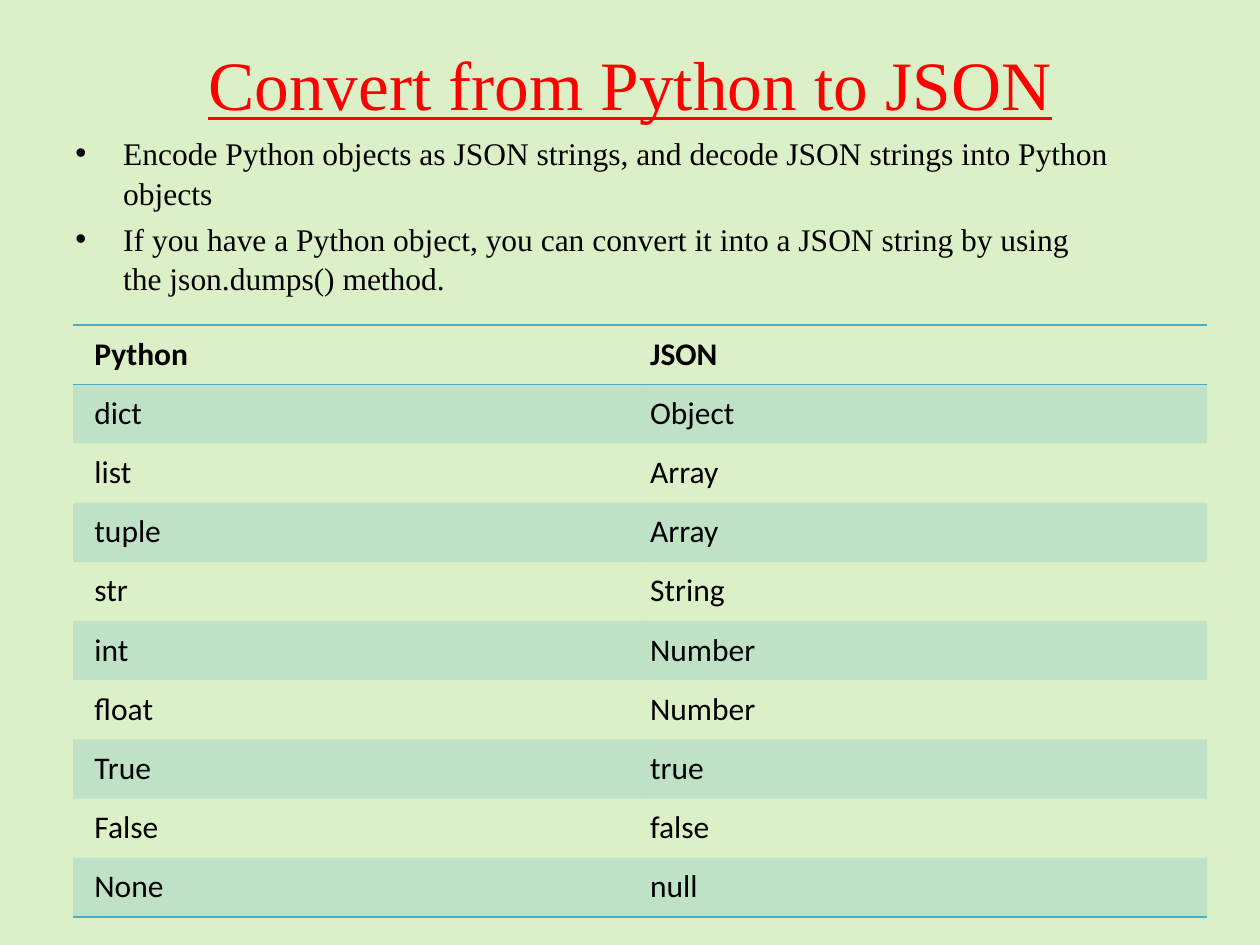
"""Build a slide on converting Python objects to JSON, with a type mapping table."""
from lxml.etree import SubElement
from pptx import Presentation
from pptx.dml.color import RGBColor
from pptx.enum.text import MSO_ANCHOR, PP_ALIGN
from pptx.oxml import parse_xml
from pptx.oxml.ns import nsdecls, qn
from pptx.util import Inches, Pt

TITLE = "Convert from Python to JSON"
BULLETS = [
    "Encode Python objects as JSON strings, and decode JSON strings into Python objects",
    "If you have a Python object, you can convert it into a JSON string by using the\u00a0json.dumps()\u00a0method.",
]
TYPE_ROWS = [
    ("Python", "JSON"),
    ("dict", "Object"),
    ("list", "Array"),
    ("tuple", "Array"),
    ("str", "String"),
    ("int", "Number"),
    ("float", "Number"),
    ("True", "true"),
    ("False", "false"),
    ("None", "null"),
]
COLORS = {"background": "DCF0C7", "title": "FF0000", "text": "000000", "accent": "4BACC6"}
SERIF, SANS = "Times New Roman", "Calibri"
ROW_HEIGHT, COLUMN_WIDTH = 0.47, 4.5
BAND_OPACITY = 20
NO_STYLE = "{2D5ABB26-0587-4C30-8999-92F81FD0307C}"


def write_text(paragraph, text, font=SERIF, size=18, color="text", bold=False,
               underline=False, align=PP_ALIGN.LEFT):
    """Put one formatted run in a paragraph."""
    paragraph.alignment = align
    run = paragraph.add_run()
    run.text = text
    run.font.name, run.font.size = font, Pt(size)
    run.font.bold, run.font.underline = bold, underline
    run.font.color.rgb = RGBColor.from_string(COLORS[color])


def add_text_frame(slide, left, top, width, height):
    """Add a wrapping text box and return its text frame."""
    frame = slide.shapes.add_textbox(*map(Inches, (left, top, width, height))).text_frame
    frame.word_wrap = True
    frame.vertical_anchor = MSO_ANCHOR.TOP
    return frame


def set_bullet(paragraph):
    """Give a paragraph a hanging round bullet."""
    properties = paragraph._p.get_or_add_pPr()
    properties.set("marL", str(Inches(0.38)))
    properties.set("indent", str(-Inches(0.38)))
    SubElement(properties, qn("a:buFont")).set("typeface", "Arial")
    SubElement(properties, qn("a:buChar")).set("char", "•")


def set_borders(cell, ruled_sides):
    """Rule the named sides of a cell and clear the others."""
    properties = cell._tc.get_or_add_tcPr()
    for position, side in enumerate("LRTB"):
        paint = "<a:noFill/>"
        if side in ruled_sides:
            paint = f'<a:solidFill><a:srgbClr val="{COLORS["accent"]}"/></a:solidFill>'
        line = f'<a:ln{side} {nsdecls("a")} w="{Pt(1)}">{paint}</a:ln{side}>'
        properties.insert(position, parse_xml(line))


def fill_band(cell, banded):
    """Fill a cell with the translucent accent, or leave it clear."""
    if not banded:
        cell.fill.background()
        return
    cell.fill.solid()
    cell.fill.fore_color.rgb = RGBColor.from_string(COLORS["accent"])
    color = cell._tc.tcPr.find(".//" + qn("a:srgbClr"))
    SubElement(color, qn("a:alpha")).set("val", str(BAND_OPACITY * 1000))


def add_type_table(slide):
    """Add the table that maps Python types to JSON types."""
    row_count, column_count = len(TYPE_ROWS), len(TYPE_ROWS[0])
    table = slide.shapes.add_table(
        row_count, column_count, Inches(0.58), Inches(2.58),
        Inches(COLUMN_WIDTH * column_count), Inches(ROW_HEIGHT * row_count)).table
    table._tbl.tblPr.find(qn("a:tableStyleId")).text = NO_STYLE
    ruled_sides = {0: "TB", 1: "T", row_count - 1: "B"}
    for row, values in enumerate(TYPE_ROWS):
        table.rows[row].height = Inches(ROW_HEIGHT)
        for column, value in enumerate(values):
            cell = table.cell(row, column)
            cell.margin_left = Inches(0.08 if column else 0.17)
            cell.margin_right = cell.margin_top = cell.margin_bottom = Inches(0.08)
            write_text(cell.text_frame.paragraphs[0], value, font=SANS, bold=row == 0)
            fill_band(cell, row % 2 == 1)
            set_borders(cell, ruled_sides.get(row, ""))


def main():
    """Assemble and save the slide."""
    presentation = Presentation()
    presentation.slide_width, presentation.slide_height = Inches(10), Inches(7.5)
    slide = presentation.slides.add_slide(presentation.slide_layouts[6])
    slide.background.fill.solid()
    slide.background.fill.fore_color.rgb = RGBColor.from_string(COLORS["background"])

    title = add_text_frame(slide, 0.5, 0.28, 9, 0.75)
    write_text(title.paragraphs[0], TITLE, size=39.6, color="title",
               underline=True, align=PP_ALIGN.CENTER)

    body = add_text_frame(slide, 0.5, 1, 9, 1.5)
    for index, text in enumerate(BULLETS):
        paragraph = body.add_paragraph() if index else body.paragraphs[0]
        write_text(paragraph, text)
        paragraph.line_spacing = 1.05
        paragraph.space_before = Pt(3.6 if index else 0)
        set_bullet(paragraph)

    add_type_table(slide)
    presentation.save("out.pptx")


if __name__ == "__main__":
    main()
